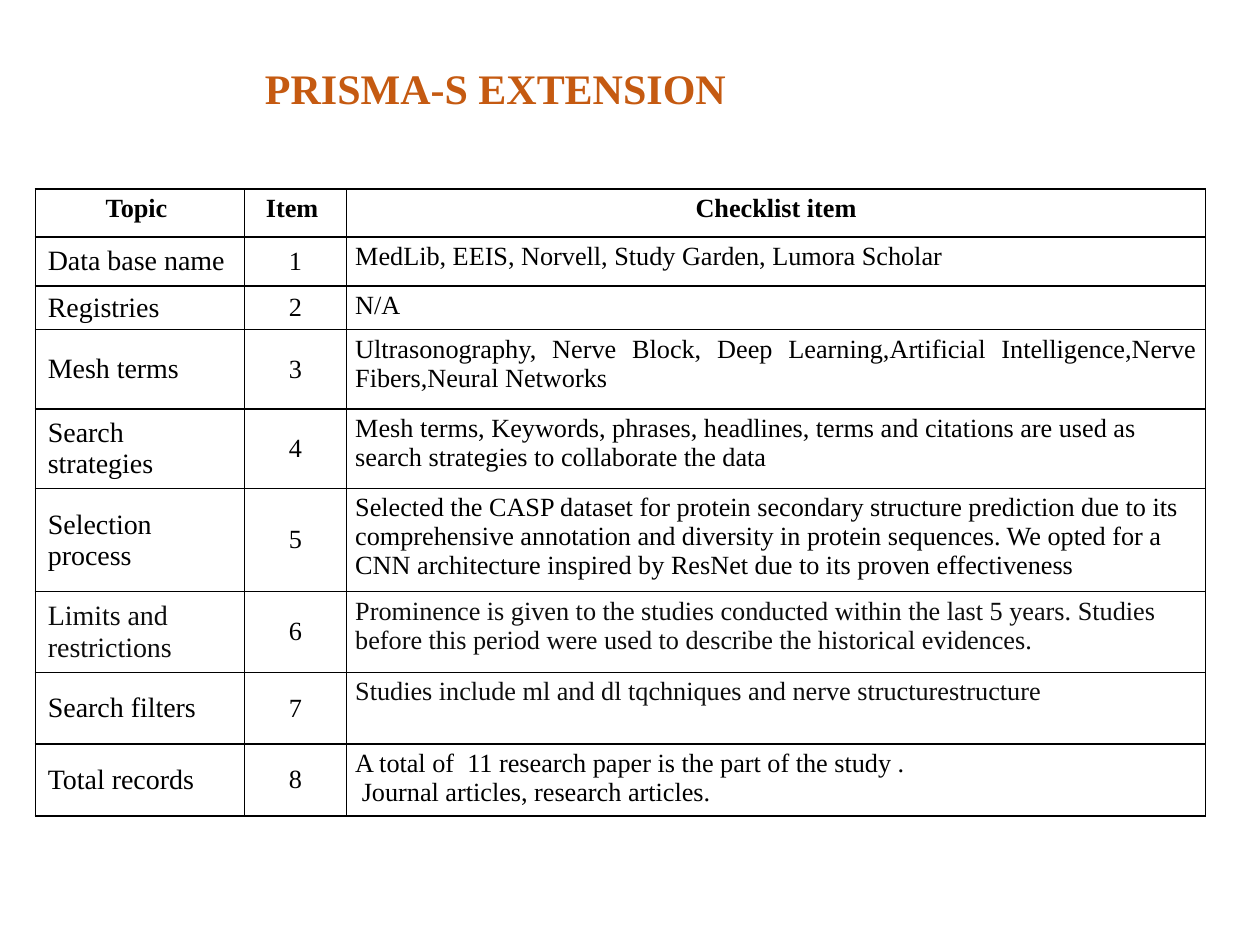
from lxml.etree import SubElement
from pptx import Presentation
from pptx.dml.color import RGBColor
from pptx.enum.text import MSO_ANCHOR, PP_ALIGN
from pptx.oxml.ns import qn
from pptx.util import Inches, Pt

ORANGE = RGBColor(0xC5, 0x5A, 0x11)
BLACK = RGBColor(0x00, 0x00, 0x00)
SOFT_BLACK = RGBColor(0x0D, 0x0D, 0x0D)

COLUMN_WIDTHS = [1.66, 0.81, 6.82]
ROW_HEIGHTS = [0.38, 0.39, 0.33, 0.63, 0.63, 0.82, 0.64, 0.57, 0.57]
HEADINGS = ["Topic ", "Item ", "Checklist item"]
CHECKLIST = [
    ("Data base name", "MedLib, EEIS, Norvell, Study Garden, Lumora Scholar"),
    ("Registries", "N/A"),
    ("Mesh terms", "Ultrasonography, Nerve Block, Deep Learning,Artificial "
                   "Intelligence,Nerve Fibers,Neural Networks"),
    ("Search strategies", "Mesh terms, Keywords, phrases, headlines, terms and citations "
                          "are used as search strategies to collaborate the data"),
    ("Selection process", "Selected the CASP dataset for protein secondary structure "
                          "prediction due to its comprehensive annotation and diversity in "
                          "protein sequences. We opted for a CNN architecture inspired by "
                          "ResNet due to its proven effectiveness"),
    ("Limits and restrictions", "Prominence is given to the studies conducted within the "
                                "last 5 years. Studies before this period were used to "
                                "describe the historical evidences."),
    ("Search filters", "Studies include ml and dl tqchniques and nerve structurestructure"),
    ("Total records", "A total of  11 research paper is the part of the study .\n"
                      " Journal articles, research articles."),
]


def write_text(frame, text, size=15, color=BLACK, bold=False, align=PP_ALIGN.LEFT,
               line_spacing=None, space=None):
    frame.text = text
    for paragraph in frame.paragraphs:
        paragraph.alignment = align
        paragraph.line_spacing = line_spacing
        paragraph.space_before = paragraph.space_after = space
        for run in paragraph.runs:
            run.font.name = "Times New Roman"
            run.font.size = Pt(size)
            run.font.bold = bold
            run.font.color.rgb = color


def format_cell(cell, anchor=MSO_ANCHOR.TOP, narrow=True):
    cell.vertical_anchor = anchor
    if narrow:
        cell.margin_left = cell.margin_right = Inches(0.07)
        cell.margin_top = cell.margin_bottom = Inches(0.04)
    properties = cell._tc.get_or_add_tcPr()
    for side in ("a:lnL", "a:lnR", "a:lnT", "a:lnB"):
        line = SubElement(properties, qn(side), w=str(Pt(1)))
        fill = SubElement(line, qn("a:solidFill"))
        SubElement(fill, qn("a:srgbClr"), val=str(BLACK))
    cell.fill.background()


presentation = Presentation()
presentation.slide_width = Inches(10)
presentation.slide_height = Inches(7.5)
slide = presentation.slides.add_slide(presentation.slide_layouts[5])

# Title
title = slide.shapes.title
title.left, title.top = Inches(1.92), Inches(0.42)
title.width, title.height = Inches(6.75), Inches(0.6)
title.text_frame.vertical_anchor = MSO_ANCHOR.MIDDLE
write_text(title.text_frame, " PRISMA-S EXTENSION", size=24, color=ORANGE, bold=True,
           line_spacing=0.9)

# Table grid
table = slide.shapes.add_table(
    len(ROW_HEIGHTS), len(COLUMN_WIDTHS), Inches(0.28), Inches(1.5),
    Inches(sum(COLUMN_WIDTHS)), Inches(sum(ROW_HEIGHTS))).table
table.first_row = table.horz_banding = False
for column, width in zip(table.columns, COLUMN_WIDTHS):
    column.width = Inches(width)
for row, height in zip(table.rows, ROW_HEIGHTS):
    row.height = Inches(height)

# Heading row
for cell, heading in zip(table.rows[0].cells, HEADINGS):
    write_text(cell.text_frame, heading, bold=True, align=PP_ALIGN.CENTER)
    format_cell(cell)

# Checklist rows
for number, (topic, detail) in enumerate(CHECKLIST, start=1):
    topic_cell, number_cell, detail_cell = table.rows[number].cells
    write_text(topic_cell.text_frame, topic, size=16,
               color=SOFT_BLACK if number == 6 else BLACK)
    format_cell(topic_cell, anchor=MSO_ANCHOR.MIDDLE, narrow=False)
    write_text(number_cell.text_frame, str(number), align=PP_ALIGN.CENTER)
    format_cell(number_cell, anchor=MSO_ANCHOR.MIDDLE)
    write_text(detail_cell.text_frame, detail,
               color=SOFT_BLACK if number in (6, 7) else BLACK,
               align=PP_ALIGN.JUSTIFY if number == 3 else PP_ALIGN.LEFT,
               space=Pt(6) if detail == "N/A" else None)
    format_cell(detail_cell)

presentation.save("out.pptx")
